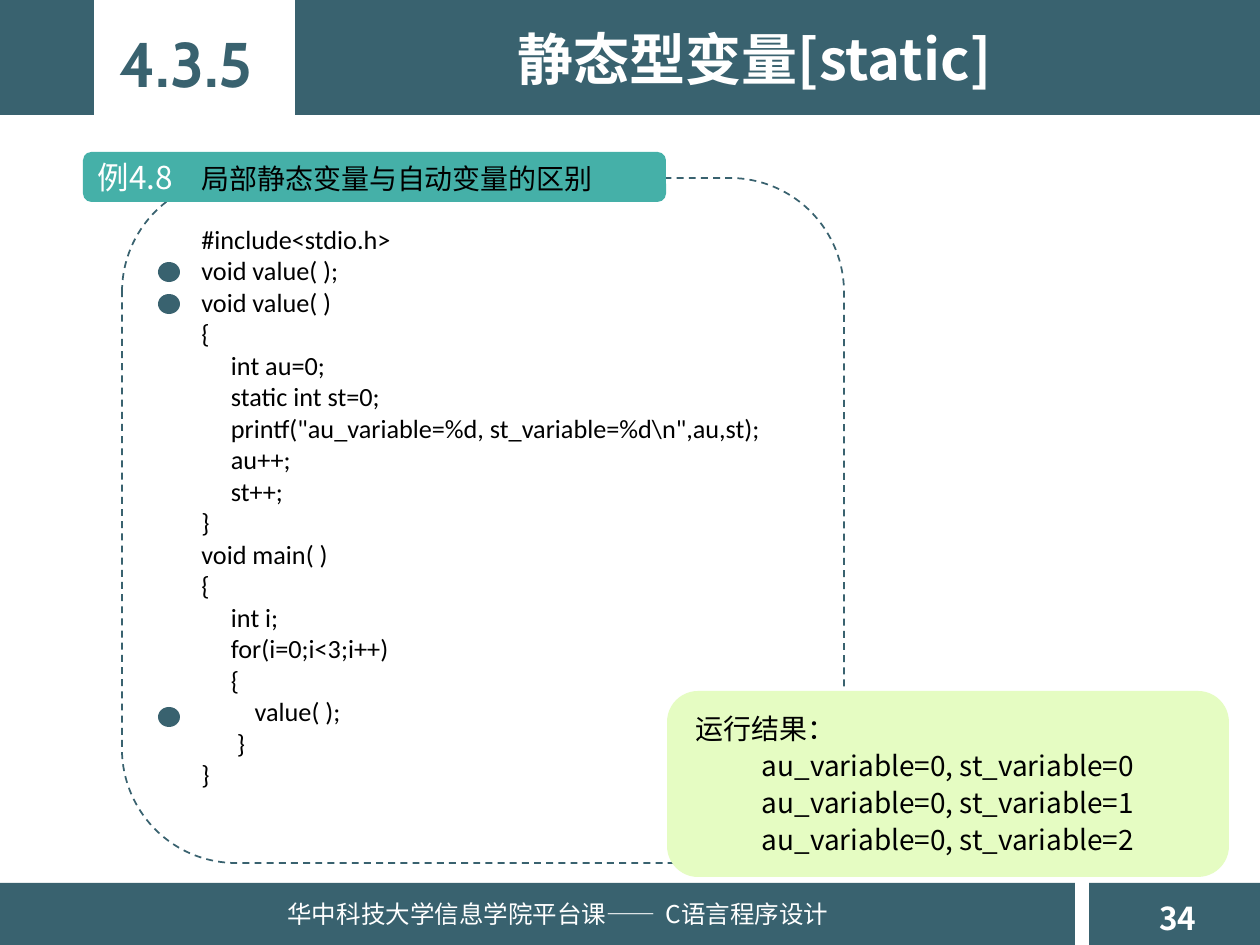
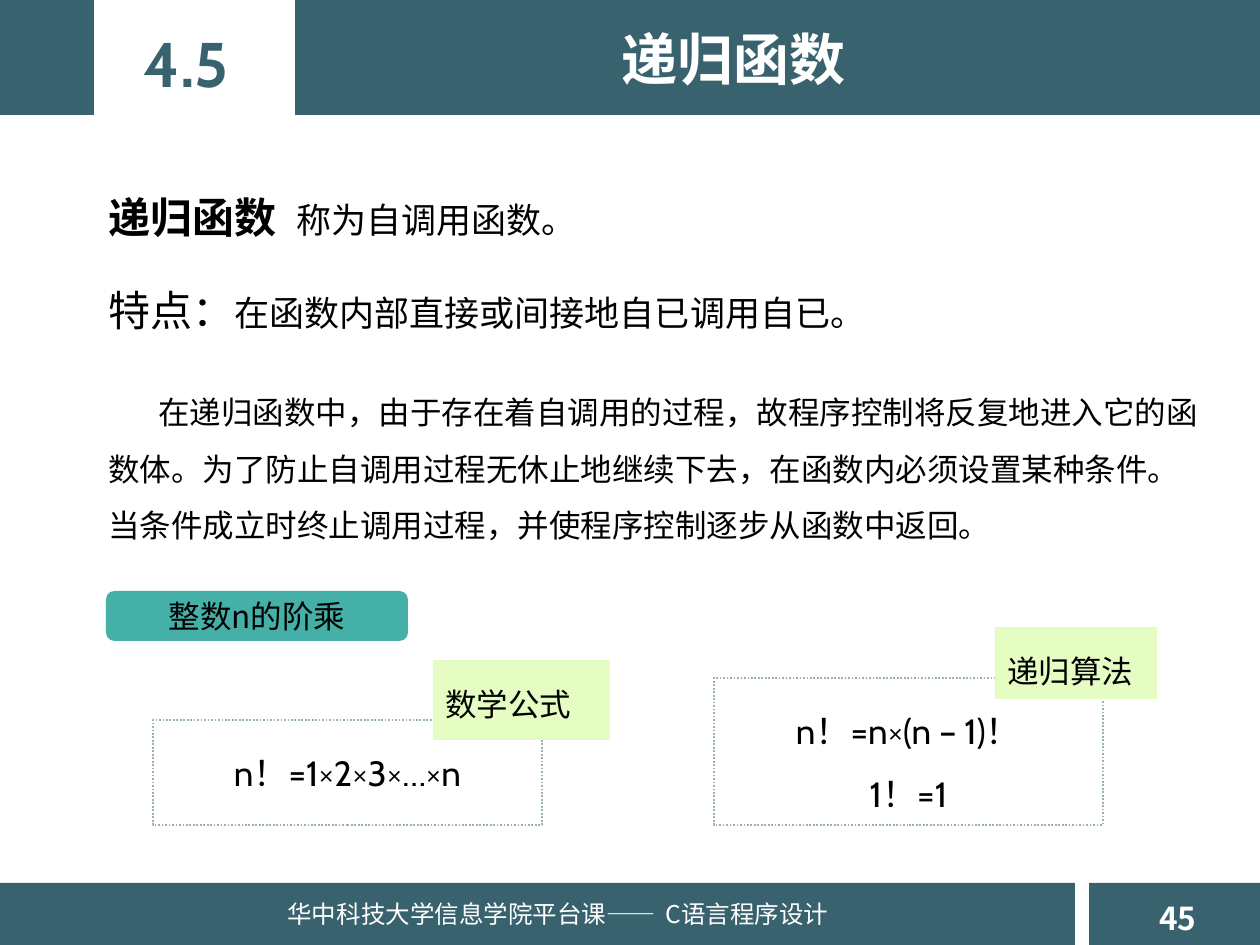
"""Build two lecture slides on static variables and recursive functions in C."""
import pptx
import pptx.dml.color
import pptx.enum.dml
import pptx.enum.shapes
import pptx.enum.text
import pptx.oxml.ns
import pptx.util
from lxml import etree

PX = 914400 / 126
SLIDE_W, SLIDE_H = 1260, 945
SLATE, TEAL, LIME, SAGE = "39626F", "45B0A8", "E5FCC2", "98B4A6"
WHITE, BLACK = "FFFFFF", "000000"
CJK = "Noto Sans CJK SC"

SHAPE = pptx.enum.shapes.MSO_SHAPE
DASH = pptx.enum.dml.MSO_LINE
ALIGN = pptx.enum.text.PP_ALIGN
ANCHOR = pptx.enum.text.MSO_ANCHOR
qn = pptx.oxml.ns.qn

BANDS = [(0, 0, 94, 115), (295, 0, 965, 115), (0, 883, 1075, 62), (1089, 883, 171, 62)]
SECTION_BOX = (101, 18, 170, 89)
FOOTER_BOX, PAGE_BOX = (275, 893, 600, 43), (1147, 893, 69, 50)
FOOTER = "华中科技大学信息学院平台课——\tC语言程序设计"

TITLE_FONT = {"size": 32, "bold": True, "color": WHITE}
SECTION_FONT = {"size": 36, "bold": True, "color": SLATE, "name": "Cabin"}
PAGE_FONT = {"size": 18, "bold": True, "color": WHITE}
FOOTER_FONT = {"size": 14, "color": WHITE}
CODE_FONT = {"size": 15, "name": "Calibri"}
FORMULA_FONT = {"size": 20, "name": "Cabin"}
SMALL, BODY, LARGE, HEAD = {"size": 16}, {"size": 18}, {"size": 20}, {"size": 24}
CENTER = {"alignment": ALIGN.CENTER}
LOOSE = {"line_spacing": 1.5}
SPACED = LOOSE | {"space_before": pptx.util.Pt(10)}

FRAME = {"shape": SHAPE.ROUNDED_RECTANGLE, "line": (SLATE, DASH.DASH)}
FORMULA = {"shape": SHAPE.RECTANGLE, "line": (SAGE, DASH.ROUND_DOT)}
LABEL = {"shape": SHAPE.ROUNDED_RECTANGLE, "fill": TEAL}
RESULT = {"shape": SHAPE.ROUNDED_RECTANGLE, "fill": LIME}
TAG = {"shape": SHAPE.RECTANGLE, "fill": LIME, "anchor": ANCHOR.TOP}
DOT = {"shape": SHAPE.OVAL, "fill": SLATE}
BAND = {"shape": SHAPE.RECTANGLE, "fill": SLATE}
TEXT = {"anchor": ANCHOR.TOP}

CODE = r'''#include<stdio.h>
void value( );
void value( )
{
     int au=0;
     static int st=0;
     printf("au_variable=%d, st_variable=%d\n",au,st);
     au++;
     st++;
}
void main( )
{
     int i;
     for(i=0;i<3;i++)
     {
         value( );
      }
}'''
OUTPUT = [f"au_variable=0, st_variable={st}" for st in range(3)]
DOT_TOPS = (262, 294, 707)
RECURSION = ("在递归函数中，由于存在着自调用的过程，故程序控制将反复地进入它的函数体。"
             "为了防止自调用过程无休止地继续下去，在函数内必须设置某种条件。"
             "当条件成立时终止调用过程，并使程序控制逐步从函数中返回。")


def para(text, font, **fmt):
    """Describe a paragraph that has one run."""
    return [(text, font)], fmt


SLIDES = [
    {"section": "4.3.5", "title": "静态型变量[static]", "title_box": (417, 18, 675, 81), "page": "34",
     "parts": [
         (FRAME, (122, 178, 722, 685), []),
         (LABEL, (83, 152, 583, 50),
          [([("例4.8\t", BODY | {"color": WHITE}), ("局部静态变量与自动变量的区别", SMALL)], {"tab": 104})]),
         (TEXT, (189, 217, 602, 585), [para(line, CODE_FONT) for line in CODE.split("\n")]),
         (RESULT, (667, 691, 562, 186),
          [para("运行结果：", SMALL, indent=7)]
          + [para(line, SMALL, line_spacing=1.1, **CENTER) for line in OUTPUT]),
         *[(DOT, (158, top, 22, 20), []) for top in DOT_TOPS]]},
    {"section": "4.5", "title": "递归函数", "title_box": (398, 18, 672, 81), "page": "45",
     "parts": [
         (TEXT, (96, 160, 1123, 194),
          [([("递归函数\t", HEAD | {"bold": True}), ("称为自调用函数。", LARGE)], LOOSE | {"tab": 188}),
           ([("特点：", HEAD), ("在函数内部直接或间接地自已调用自已。", LARGE)], SPACED)]),
         (TEXT, (96, 368, 1123, 194), [para(RECURSION, BODY, indent=50, **LOOSE)]),
         (LABEL, (106, 591, 302, 50), [para("整数n的阶乘", BODY, **CENTER)]),
         (FORMULA, (153, 720, 389, 105), [para("n！=1×2×3×…×n", FORMULA_FONT, **CENTER)]),
         (FORMULA, (714, 678, 389, 147),
          [para(line, FORMULA_FONT, **CENTER, **LOOSE) for line in ("n！=n×(n – 1)！", "1！=1")]),
         (TAG, (433, 660, 177, 80), [para("数学公式", BODY, **LOOSE)]),
         (TAG, (995, 627, 162, 72), [para("递归算法", BODY, **LOOSE)])]},
]


def emu(px):
    """Turn px into EMU."""
    return pptx.util.Emu(round(px * PX))


def rgb(value):
    """Turn a hex string into a colour."""
    return pptx.dml.color.RGBColor.from_string(value)


def format_run(r, name=CJK, size=18, bold=False, color=BLACK):
    """Give a run its Latin and East Asian fonts, size, weight and colour."""
    for key, value in {"name": name, "size": pptx.util.Pt(size), "bold": bold}.items():
        setattr(r.font, key, value)
    r.font.color.rgb = rgb(color)
    etree.SubElement(r.font._element, qn("a:ea"), typeface=CJK)


def format_paragraph(p, indent=None, tab=None, **fmt):
    """Give a paragraph its indent, tab stop and spacing."""
    pPr = p._p.get_or_add_pPr()
    if indent:
        pPr.set("indent", str(emu(indent)))
    if tab:
        tabs = etree.SubElement(pPr, qn("a:tabLst"))
        etree.SubElement(tabs, qn("a:tab"), pos=str(emu(tab)), algn="l")
    for key, value in ({"alignment": ALIGN.LEFT} | fmt).items():
        setattr(p, key, value)


def write(sp, paragraphs, anchor=ANCHOR.MIDDLE):
    """Fill a shape with paragraphs."""
    tf = sp.text_frame
    settings = {"word_wrap": True, "vertical_anchor": anchor,
                "auto_size": pptx.enum.text.MSO_AUTO_SIZE.NONE}
    for key, value in settings.items():
        setattr(tf, key, value)
    for i, (runs, fmt) in enumerate(paragraphs):
        p = tf.add_paragraph() if i else tf.paragraphs[0]
        format_paragraph(p, **fmt)
        for text, font in runs:
            r = p.add_run()
            r.text = text
            format_run(r, **font)


def add_part(s, style, box, paragraphs):
    """Add a text box or a preset shape with its text."""
    place = [emu(v) for v in box]
    if "shape" in style:
        sp = s.shapes.add_shape(style["shape"], *place)
        sp.shadow.inherit = False
        if "fill" in style:
            sp.fill.solid()
            sp.fill.fore_color.rgb = rgb(style["fill"])
        else:
            sp.fill.background()
        if "line" in style:
            color, dash = style["line"]
            sp.line.color.rgb = rgb(color)
            sp.line.width = pptx.util.Pt(1)
            sp.line.dash_style = dash
        else:
            sp.line.fill.background()
    else:
        sp = s.shapes.add_textbox(*place)
    if paragraphs:
        write(sp, paragraphs, style.get("anchor", ANCHOR.MIDDLE))


def add_title(s, text, box):
    """Place the title placeholder in front of the bands."""
    sp = s.shapes.title
    for key, value in zip(("left", "top", "width", "height"), box):
        setattr(sp, key, emu(value))
    write(sp, [para(text, TITLE_FONT, **CENTER)], ANCHOR.TOP)
    sp._element.getparent().append(sp._element)


def add_slide(prs, content):
    """Add one slide with bands, footer, title and parts."""
    s = prs.slides.add_slide(prs.slide_layouts[5])
    for band in BANDS:
        add_part(s, BAND, band, [])
    add_part(s, TEXT, PAGE_BOX, [para(content["page"], PAGE_FONT)])
    add_part(s, TEXT, FOOTER_BOX, [para(FOOTER, FOOTER_FONT, tab=378)])
    add_part(s, TEXT, SECTION_BOX, [para(content["section"], SECTION_FONT, **CENTER)])
    add_title(s, content["title"], content["title_box"])
    for part in content["parts"]:
        add_part(s, *part)


def main():
    """Build the slides and save them."""
    prs = pptx.Presentation()
    prs.slide_width, prs.slide_height = emu(SLIDE_W), emu(SLIDE_H)
    for content in SLIDES:
        add_slide(prs, content)
    prs.save("out.pptx")


if __name__ == "__main__":
    main()
